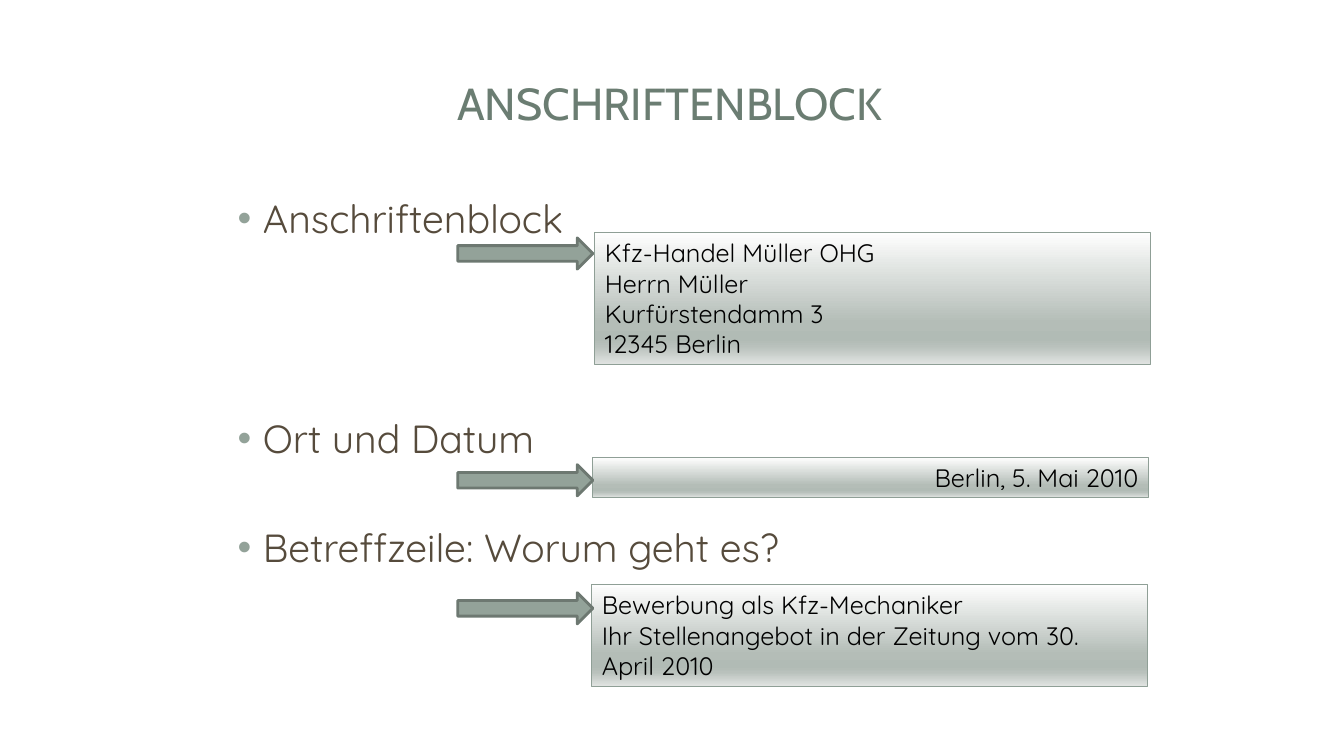
from lxml import etree
from pptx import Presentation
from pptx.dml.color import RGBColor
from pptx.enum.shapes import MSO_SHAPE as Shape
from pptx.enum.text import MSO_ANCHOR as Anchor, MSO_AUTO_SIZE as AutoSize, PP_ALIGN as Align
from pptx.oxml.ns import qn
from pptx.util import Inches, Pt


def color(value):
    return RGBColor.from_string(value)


def style_text(paragraph, name, size, value):
    for run in paragraph.runs:
        run.font.name = name
        run.font.size = Pt(size)
        run.font.color.rgb = color(value)


presentation = Presentation()
presentation.slide_width = Inches(13.33)
presentation.slide_height = Inches(7.5)
slide = presentation.slides.add_slide(presentation.slide_layouts[6])

title = slide.shapes.add_textbox(Inches(0.62), Inches(0.45), Inches(12.05), Inches(1.14))
title.text_frame.word_wrap = True
title.text_frame.vertical_anchor = Anchor.MIDDLE
title.text_frame.text = "ANSCHRIFTENBLOCK"
heading = title.text_frame.paragraphs[0]
heading.alignment = Align.CENTER
style_text(heading, "Cabin", 32, "6B7D72")

topics = [("Anschriftenblock", 0), ("Ort und Datum", 123.2), ("Betreffzeile: Worum geht es?", 44.8)]
body = slide.shapes.add_textbox(Inches(2.13), Inches(1.88), Inches(6.74), Inches(4.82))
body.text_frame.word_wrap = True
body.text_frame.text = "\n".join(topic for topic, gap in topics)
for paragraph, (topic, gap) in zip(body.text_frame.paragraphs, topics):
    paragraph.space_before = Pt(gap)
    properties = paragraph._p.get_or_add_pPr()
    properties.set("marL", str(Inches(0.38)))
    properties.set("indent", str(Inches(-0.25)))
    bullet_color = etree.SubElement(properties, qn("a:buClr"))
    etree.SubElement(bullet_color, qn("a:srgbClr"), val="93A299")
    etree.SubElement(properties, qn("a:buFont"), typeface="Arial")
    etree.SubElement(properties, qn("a:buChar"), char="•")
    style_text(paragraph, "Quicksand", 28, "564B3C")

gradient = [(0, "FEFEFE"), (68, "B4BDB7"), (81, "B1BBB5"), (86, "B9C1BC"), (100, "E1E4E2")]
examples = [
    (5.88, 4.54, 0.4, Align.RIGHT, "Berlin, 5. Mai 2010"),
    (5.87, 5.8, 1.01, Align.LEFT,
     "Bewerbung als Kfz-Mechaniker\nIhr Stellenangebot in der Zeitung vom 30. April 2010"),
    (5.9, 2.31, 1.31, Align.LEFT,
     "Kfz-Handel Müller OHG\nHerrn Müller\nKurfürstendamm 3\n12345 Berlin"),
]
for left, top, height, alignment, text in examples:
    box = slide.shapes.add_shape(Shape.RECTANGLE, Inches(left), Inches(top), Inches(5.51), Inches(height))
    box.shadow.inherit = False
    box.fill.gradient()
    box.fill.gradient_angle = 270
    stops = box._element.spPr.find(qn("a:gradFill")).find(qn("a:gsLst"))
    for stop in list(stops):
        stops.remove(stop)
    for position, value in gradient:
        stop = etree.SubElement(stops, qn("a:gs"), pos=str(position * 1000))
        etree.SubElement(stop, qn("a:srgbClr"), val=value)
    box.line.color.rgb = color("8F9F96")
    box.line.width = Pt(0.75)
    frame = box.text_frame
    frame.word_wrap = True
    frame.auto_size = AutoSize.SHAPE_TO_FIT_TEXT
    frame.vertical_anchor = Anchor.TOP
    frame.text = text
    for paragraph in frame.paragraphs:
        paragraph.alignment = alignment
        style_text(paragraph, "Quicksand", 18, "000000")

for top in (2.36, 4.61, 5.88):
    arrow = slide.shapes.add_shape(Shape.RIGHT_ARROW, Inches(4.54), Inches(top), Inches(1.34), Inches(0.31))
    arrow.shadow.inherit = False
    arrow.fill.solid()
    arrow.fill.fore_color.rgb = color("93A299")
    arrow.line.color.rgb = color("6D7871")
    arrow.line.width = Pt(2)

presentation.save("out.pptx")
